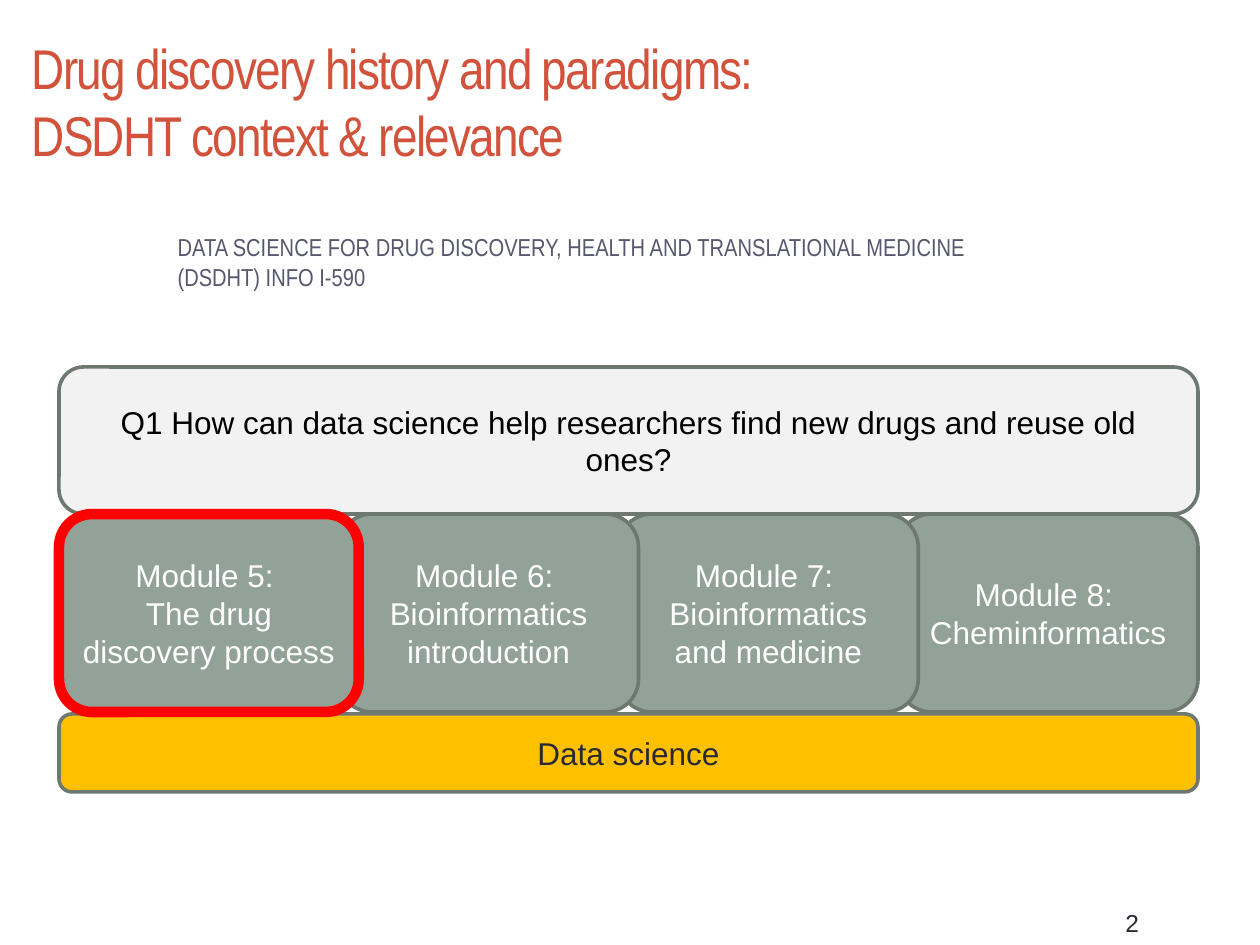
from pptx import Presentation, util as u
from pptx.dml.color import RGBColor
from pptx.enum import shapes, text

PX = u.Inches(1) / 126

RUST = RGBColor(0xD2, 0x53, 0x3C)
PLUM = RGBColor(0x57, 0x57, 0x6E)
INK = RGBColor(0x29, 0x29, 0x34)
BLACK = RGBColor(0, 0, 0)
WHITE = RGBColor(0xFF, 0xFF, 0xFF)
SAGE = RGBColor(0x93, 0xA2, 0x99)
SLATE = RGBColor(0x6D, 0x78, 0x71)
PALE = RGBColor(0xF2, 0xF2, 0xF2)
GOLD = RGBColor(0xFF, 0xC0, 0x00)
RED = RGBColor(0xFF, 0, 0)

MODULES = [
    "Module 5: \nThe drug discovery process",
    "Module 6: \nBioinformatics introduction",
    "Module 7: \nBioinformatics and medicine",
    "Module 8: \nCheminformatics",
]


def px(*lengths):
    return [u.Emu(round(length * PX)) for length in lengths]


def write(frame, words, size, color, font="Arial", align=text.PP_ALIGN.LEFT,
          anchor=text.MSO_ANCHOR.MIDDLE):
    frame.text = words
    frame.word_wrap = True
    frame.auto_size = text.MSO_AUTO_SIZE.NONE
    frame.vertical_anchor = anchor
    for paragraph in frame.paragraphs:
        paragraph.alignment = align
        paragraph.space_before = u.Pt(0)
        for run in paragraph.runs:
            run.font.name = font
            run.font.size = u.Pt(size)
            run.font.color.rgb = color


def place(holder, box):
    holder.left, holder.top, holder.width, holder.height = px(*box)


def heading(slide, title_box, course_box):
    title, course = slide.shapes.title, slide.placeholders[1]
    place(title, title_box)
    write(title.text_frame,
          "Drug discovery history and paradigms: \vDSDHT context & relevance",
          32, RUST, "Arial Narrow")
    for run in title.text_frame.paragraphs[0].runs:
        run._r.get_or_add_rPr().set("spc", "-100")
    place(course, course_box)
    write(course.text_frame,
          "DATA SCIENCE FOR DRUG DISCOVERY, HEALTH AND TRANSLATIONAL MEDICINE "
          "(DSDHT) INFO I-590",
          14, PLUM, "Arial Narrow", anchor=text.MSO_ANCHOR.TOP)


def block(slide, box, words, fill, color, outline=SLATE, weight=2.08):
    """Draw one rounded, outlined block with centred words."""
    shape = slide.shapes.add_shape(shapes.MSO_SHAPE.ROUNDED_RECTANGLE, *px(*box))
    shape.shadow.inherit = False
    shape.fill.solid()
    shape.fill.fore_color.rgb = fill
    shape.line.color.rgb = outline
    shape.line.width = u.Pt(weight)
    write(shape.text_frame, words, 18, color, align=text.PP_ALIGN.CENTER)


def course_map(slide, left, top, width):
    """Stack the question, the row of overlapping modules and the base."""
    question_height, module_height, base_height = 147, 198, 78
    overlap, gap = 20, 2
    module_top = top + question_height
    base_top = module_top + module_height + gap
    module_width = (width + overlap * (len(MODULES) - 1)) / len(MODULES)
    block(slide, (left, base_top, width, base_height), "Data science", GOLD, INK)
    block(slide, (left, top, width, question_height),
          "Q1 How can data science help researchers find new drugs and reuse old ones?",
          PALE, BLACK)
    for index in reversed(range(len(MODULES))):
        outline, weight = (RED, 6) if index == 0 else (SLATE, 2.08)
        block(slide,
              (left + index * (module_width - overlap), module_top,
               module_width, module_height),
              MODULES[index], SAGE, WHITE, outline, weight)


def page_number(slide, box):
    number = slide.shapes.add_textbox(*px(*box))
    write(number.text_frame, "2", 14, INK)


def main():
    deck = Presentation()
    deck.slide_width, deck.slide_height = u.Inches(10), u.Inches(7.5)
    slide = deck.slides.add_slide(deck.slide_layouts[0])
    heading(slide, (19, 21, 1206, 160), (165, 226, 822, 81))
    course_map(slide, 59, 367, 1139)
    page_number(slide, (1113, 900, 147, 45))
    deck.save("out.pptx")


if __name__ == "__main__":
    main()
